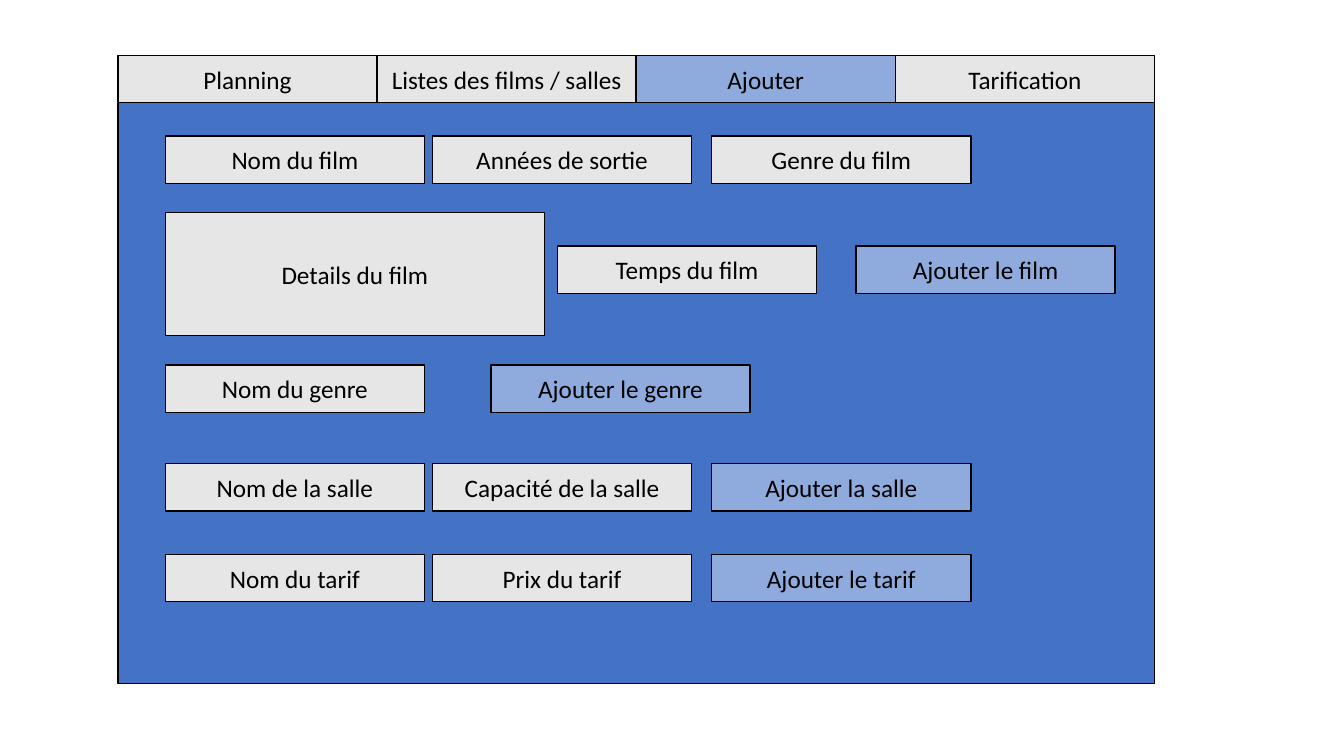
from dataclasses import dataclass

from pptx import Presentation
from pptx.dml.color import RGBColor
from pptx.enum.shapes import MSO_SHAPE
from pptx.enum.text import MSO_ANCHOR, PP_ALIGN
from pptx.util import Pt

TABS = ["Planning", "Listes des films / salles", "Ajouter", "Tarification"]
ACTIVE_TAB = "Ajouter"

FORM_ROWS = [
    (135, [("Nom du film", "field"), ("Années de sortie", "field"), ("Genre du film", "field")]),
    (460, [("Nom de la salle", "field"), ("Capacité de la salle", "field"), ("Ajouter la salle", "action")]),
    (550, [("Nom du tarif", "field"), ("Prix du tarif", "field"), ("Ajouter le tarif", "action")]),
]
FILM_ROW = (244, [(553, "Temps du film", "field"), (849, "Ajouter le film", "action")])
GENRE_ROW = (362, [(164, "Nom du genre", "field"), (487, "Ajouter le genre", "action")])
DETAILS = ("Details du film", (164, 211, 376, 122))

SCALE = 9144
SLIDE_SIZE = (1333, 750)
WINDOW_LEFT, WINDOW_TOP = 117, 55
BOX_WIDTH, BOX_HEIGHT = 257, 47
PANEL_HEIGHT = 576
COLUMNS = [164, 429, 706]


@dataclass(frozen=True)
class Theme:
    panel: str = "4472C4"
    field: str = "E7E6E6"
    action: str = "8FAADC"
    ink: str = "000000"
    font: str = "Calibri"
    text_size: int = 18
    line_width: int = 1


THEME = Theme()


def px(length):
    return length * SCALE


def add_box(page, left, top, width=BOX_WIDTH, height=BOX_HEIGHT, fill=THEME.field):
    box = page.shapes.add_shape(MSO_SHAPE.RECTANGLE, px(left), px(top), px(width), px(height))
    box.shadow.inherit = False
    box.fill.solid()
    box.fill.fore_color.rgb = RGBColor.from_string(fill)
    box.line.color.rgb = RGBColor.from_string(THEME.ink)
    box.line.width = Pt(THEME.line_width)
    return box


def write(box, text, size=THEME.text_size, color=THEME.ink, align=PP_ALIGN.CENTER):
    frame = box.text_frame
    frame.word_wrap = True
    frame.vertical_anchor = MSO_ANCHOR.MIDDLE
    para = frame.paragraphs[0]
    para.alignment = align
    span = para.add_run()
    span.text = text
    span.font.name = THEME.font
    span.font.size = Pt(size)
    span.font.color.rgb = RGBColor.from_string(color)


def add_control(page, text, kind, left, top):
    fill = THEME.action if kind == "action" else THEME.field
    write(add_box(page, left, top, fill=fill), text)


def main():
    deck = Presentation()
    deck.slide_width, deck.slide_height = map(px, SLIDE_SIZE)
    page = deck.slides.add_slide(deck.slide_layouts[6])

    add_box(page, WINDOW_LEFT, WINDOW_TOP + BOX_HEIGHT, len(TABS) * BOX_WIDTH, PANEL_HEIGHT, THEME.panel)
    for index, tab in enumerate(TABS):
        kind = "action" if tab == ACTIVE_TAB else "field"
        add_control(page, tab, kind, WINDOW_LEFT + index * BOX_WIDTH, WINDOW_TOP)

    for top, controls in FORM_ROWS:
        for left, (text, kind) in zip(COLUMNS, controls):
            add_control(page, text, kind, left, top)

    for top, controls in (FILM_ROW, GENRE_ROW):
        for left, text, kind in controls:
            add_control(page, text, kind, left, top)

    details_text, details_area = DETAILS
    write(add_box(page, *details_area), details_text)

    deck.save("out.pptx")


if __name__ == "__main__":
    main()
